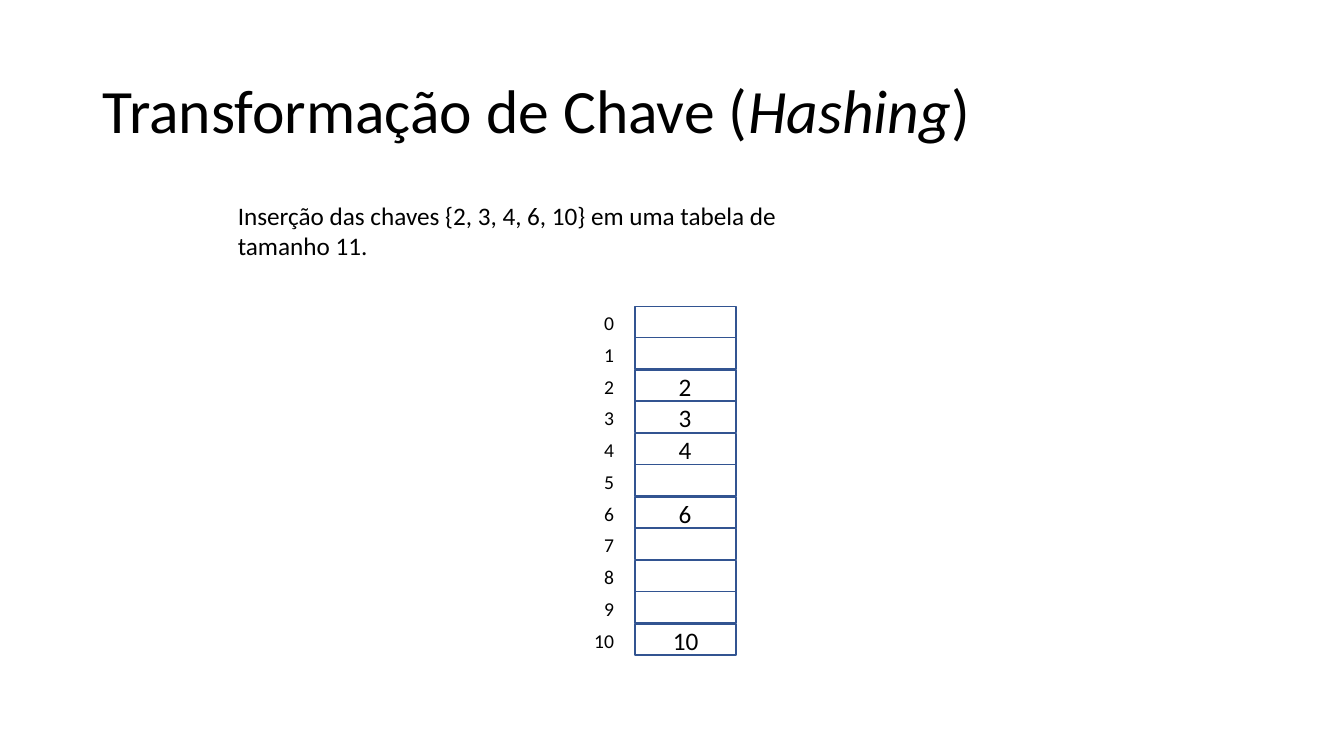
from pptx import Presentation
from pptx.dml.color import RGBColor
from pptx.enum.shapes import MSO_SHAPE as Shape
from pptx.enum.text import MSO_ANCHOR as Anchor, MSO_AUTO_SIZE as AutoSize, PP_ALIGN as Align
from pptx.util import Emu, Pt

PX = 9144  # 100 px to the inch
TABLE_SIZE = 11
KEYS = (2, 3, 4, 6, 10)
CELL_LEFT, CELL_WIDTH, CELL_HEIGHT = 630, 100, 31
INDEX_RIGHT = 619


def color(value):
    return RGBColor.from_string(value)


def px(*lengths):
    return [Emu(length * PX) for length in lengths]


def row_top(row):
    """Top of a table row; rows are 31.5 px apart."""
    return 304 + row * 63 // 2


class SlideBuilder:
    font_name = "Calibri"
    text_color = "000000"
    line_color = "325491"

    def __init__(self, deck):
        self.page = deck.slides.add_slide(deck.slide_layouts[5])

    def add_span(self, para, text, size, italic=False):
        span = para.add_run()
        span.text = text
        values = {"name": self.font_name, "size": Pt(size), "italic": italic}
        for name, value in values.items():
            setattr(span.font, name, value)
        span.font.color.rgb = color(self.text_color)

    def title(self, spans, left, top, width, height):
        """Fill the title placeholder with (text, italic) pairs."""
        box = self.page.shapes.title
        box.left, box.top, box.width, box.height = px(left, top, width, height)
        frame = box.text_frame
        values = {"auto_size": AutoSize.NONE, "vertical_anchor": Anchor.MIDDLE, "word_wrap": True}
        for name, value in values.items():
            setattr(frame, name, value)
        para = frame.paragraphs[0]
        para.alignment, para.line_spacing = Align.LEFT, 0.9
        for text, italic in spans:
            self.add_span(para, text, 44, italic)

    def text(self, lines, left, top, width, height, size, align=Align.LEFT):
        box = self.page.shapes.add_textbox(*px(left, top, width, height))
        frame = box.text_frame
        frame.word_wrap = False
        frame.auto_size = AutoSize.SHAPE_TO_FIT_TEXT
        for number, line in enumerate(lines):
            para = frame.add_paragraph() if number else frame.paragraphs[0]
            para.alignment = align
            self.add_span(para, line, size)

    def cell(self, row):
        box = self.page.shapes.add_shape(
            Shape.RECTANGLE, *px(CELL_LEFT, row_top(row), CELL_WIDTH, CELL_HEIGHT))
        box.shadow.inherit = False
        box.fill.background()
        box.line.color.rgb = color(self.line_color)
        box.line.width = Pt(1)

    def index(self, row):
        label = str(row)
        width = 20 + 10 * len(label)
        self.text([label], INDEX_RIGHT - width, row_top(row), width, 34, 14, Align.RIGHT)

    def key(self, key):
        """Place a key in the row given by its hash."""
        label = str(key)
        width = 20 + 13 * len(label)
        left = CELL_LEFT + (CELL_WIDTH - width) // 2
        self.text([label], left, row_top(key % TABLE_SIZE) - 4, width, 40, 18, Align.CENTER)


def main():
    deck = Presentation()
    deck.slide_width, deck.slide_height = px(1333, 750)
    slide = SlideBuilder(deck)
    slide.title([("Transformação de Chave (", False), ("Hashing", True), (")", False)],
                92, 40, 1150, 145)
    for row in range(TABLE_SIZE):
        slide.cell(row)
    for row in range(TABLE_SIZE):
        slide.index(row)
    slide.text(["Inserção das chaves {2, 3, 4, 6, 10} em uma tabela de", "tamanho 11."],
               226, 194, 561, 71, 18)
    for key in KEYS:
        slide.key(key)
    deck.save("out.pptx")


if __name__ == "__main__":
    main()
